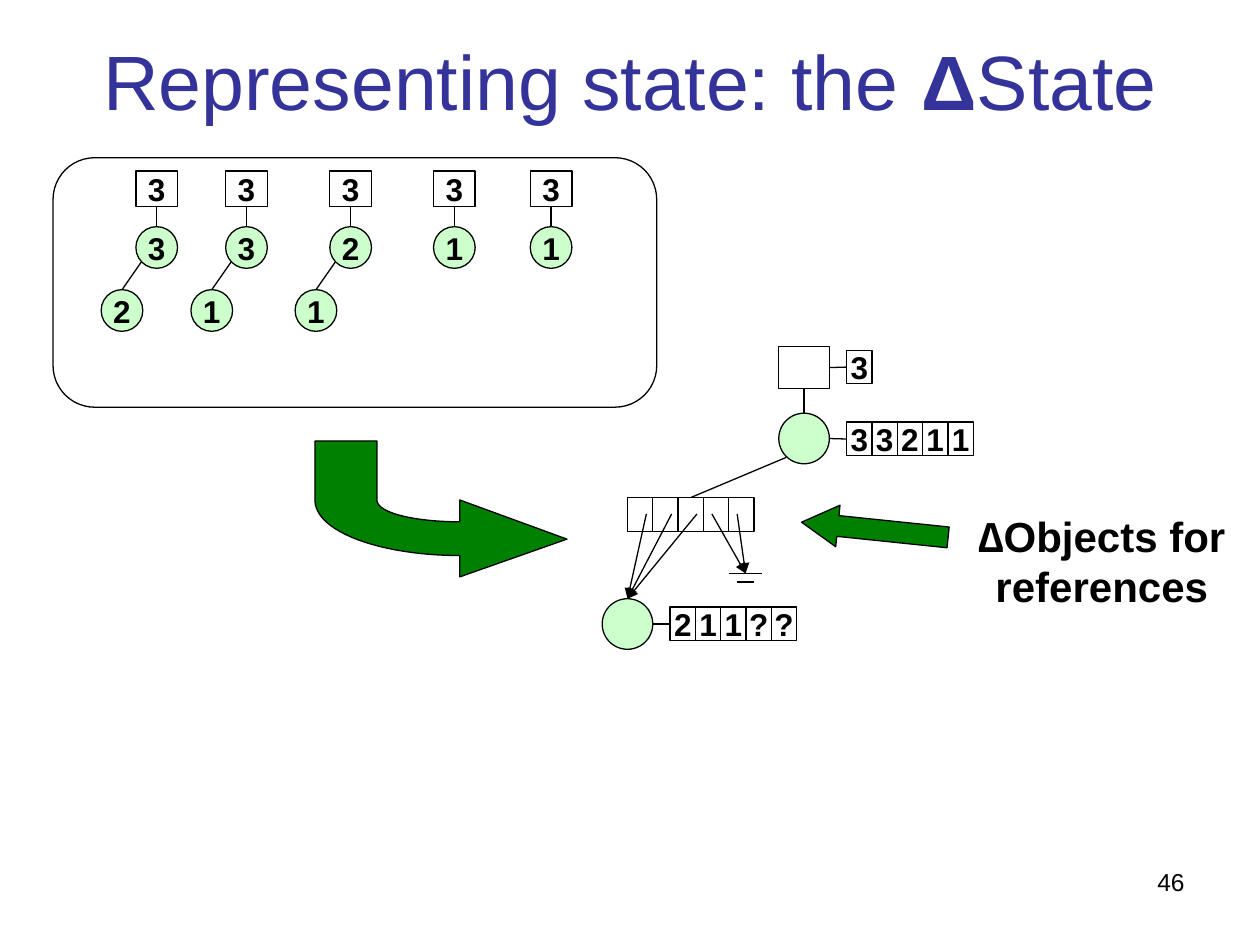
from dataclasses import dataclass

from lxml import etree
from pptx import Presentation
from pptx import util as u
from pptx.dml.color import RGBColor
from pptx.enum import shapes, text
from pptx.oxml import ns


@dataclass(frozen=True)
class Theme:
    """Colours, font and type sizes of the slide."""
    ink: str = "000000"
    title: str = "333399"
    node: str = "CCFFCC"
    arrow: str = "008000"
    font: str = "Arial"
    title_pt: int = 44
    note_pt: int = 24
    label_pt: int = 18
    page_pt: int = 14
    line_pt: float = 0.75


class Diagram:
    """Draws styled elements on the current slide, with lengths in cm."""

    def __init__(self, prs, theme):
        self.theme = theme
        self.s = prs.slides.add_slide(prs.slide_layouts[6])

    def style(self, sp, fill=None):
        """Set the outline and fill of a shape."""
        sp.shadow.inherit = False
        sp.line.color.rgb = RGBColor.from_string(self.theme.ink)
        sp.line.width = u.Pt(self.theme.line_pt)
        if fill:
            sp.fill.solid()
            sp.fill.fore_color.rgb = RGBColor.from_string(fill)
        else:
            sp.fill.background()
        return sp

    def format(self, r, size, color, bold):
        """Set the font of a run."""
        r.font.name, r.font.size, r.font.bold = self.theme.font, u.Pt(size), bold
        r.font.color.rgb = RGBColor.from_string(color)

    def shape(self, kind, x, y, w, h, label="", fill=None):
        """Add a preset shape with an optional bold label."""
        sp = self.s.shapes.add_shape(kind, u.Cm(x), u.Cm(y), u.Cm(w), u.Cm(h))
        self.style(sp, fill)
        if label:
            tf = sp.text_frame
            tf.text, tf.word_wrap = label, False
            tf.vertical_anchor = text.MSO_ANCHOR.MIDDLE
            p = tf.paragraphs[0]
            p.alignment = text.PP_ALIGN.CENTER
            self.format(p.runs[0], self.theme.label_pt, self.theme.ink, True)
        return sp

    def rect(self, x, y, w, h, label=""):
        """Add a rectangle."""
        return self.shape(shapes.MSO_SHAPE.RECTANGLE, x, y, w, h, label)

    def node(self, x, y, d, label=""):
        """Add a round node."""
        return self.shape(shapes.MSO_SHAPE.OVAL, x, y, d, d, label, self.theme.node)

    def cells(self, x, y, labels):
        """Add a row of adjoining cells."""
        return [self.rect(x + 0.51 * i, y, 0.51, 0.68, label)
                for i, label in enumerate(labels)]

    def line(self, start, end, head=False):
        """Join two ends, each a point or a (shape, site) pair."""
        ends = [e if isinstance(e[0], (int, float)) else (0, 0) for e in (start, end)]
        c = self.s.shapes.add_connector(
            shapes.MSO_CONNECTOR.STRAIGHT, *[u.Cm(v) for e in ends for v in e])
        for e, join in ((start, c.begin_connect), (end, c.end_connect)):
            if not isinstance(e[0], (int, float)):
                join(*e)
        c.line.color.rgb = RGBColor.from_string(self.theme.ink)
        c.line.width = u.Pt(self.theme.line_pt)
        if head:
            etree.SubElement(c.line._get_or_add_ln(), ns.qn("a:tailEnd"), type="triangle")
        etree.SubElement(c._element.spPr, ns.qn("a:effectLst"))
        return c

    def outline(self, points, fill):
        """Add a closed freeform through the points."""
        pts = [(u.Cm(x), u.Cm(y)) for x, y in points]
        fb = self.s.shapes.build_freeform(*pts[0])
        fb.add_line_segments(pts[1:], close=True)
        return self.style(fb.convert_to_shape(), fill)

    def text(self, x, y, w, h, runs, size, color, align, margin=True):
        """Add a wrapped text box of (words, bold) runs."""
        tf = self.s.shapes.add_textbox(u.Cm(x), u.Cm(y), u.Cm(w), u.Cm(h)).text_frame
        tf.word_wrap = True
        if not margin:
            tf.margin_left = tf.margin_right = tf.margin_top = tf.margin_bottom = 0
            tf.vertical_anchor = text.MSO_ANCHOR.MIDDLE
        p = tf.paragraphs[0]
        p.alignment = align
        for words, bold in runs:
            r = p.add_run()
            r.text = words
            self.format(r, size, color, bold)
        return p


def bezier(a, b, c, d, steps=24):
    """Return points along a cubic curve."""
    ts = [i / steps for i in range(steps + 1)]
    return [tuple((1 - t) ** 3 * p + 3 * t * (1 - t) ** 2 * q
                  + 3 * t * t * (1 - t) * m + t ** 3 * n
                  for p, q, m, n in zip(a, b, c, d)) for t in ts]


def draw_states(d):
    """Draw the panel of separate states."""
    panel = d.shape(shapes.MSO_SHAPE.ROUNDED_RECTANGLE, 1.07, 3.18, 12.17, 5.03)
    panel.adjustments[0] = 0.167
    states = [(2.74, "3", "2"), (4.55, "3", "1"), (6.65, "2", "1"),
              (8.74, "1", ""), (10.69, "1", "")]
    for x, top, child in states:
        box = d.rect(x, 3.45, 0.84, 0.71, "3")
        node = d.node(x, 4.57, 0.84, top)
        d.line((box, 2), (node, 0))
        if child:
            leaf = d.node(x - 0.7, 5.84, 0.84, child)
            d.line((x + 0.11, 5.28), (leaf, 0))


def draw_delta(d):
    """Draw the combined state with its value and reference cells."""
    box = d.rect(15.7, 6.99, 1.02, 0.84)
    root = d.node(15.7, 8.33, 1.02)
    leaf = d.node(12.14, 12.07, 1.02)
    size = d.cells(17.07, 7.06, "3")
    root_values = d.cells(17.07, 8.51, "33211")
    leaf_values = d.cells(13.51, 12.24, "211??")
    refs = d.cells(12.65, 10.03, [""] * 5)
    d.line((box, 2), (root, 0))
    d.line((box, 3), (size[0], 1))
    d.line((16.72, 8.84), (root_values[0], 1))
    d.line((13.16, 12.58), (leaf_values[0], 1))
    d.line((15.85, 9.22), (refs[2], 0))
    for x in (13.03, 13.54, 14.05):
        d.line((x, 10.36), (leaf, 0), head=True)
    for x in (14.35, 14.86):
        d.line((x, 10.36), (15.03, 11.56), head=True)
    for y, half in ((11.56, 0.34), (11.73, 0.17)):
        d.line((15.03 - half, y), (15.03 + half, y))


def draw_arrows(d):
    """Draw the bent arrow and the arrow of the note."""
    outer = bezier((6.35, 10.08), (6.35, 10.72), (7.67, 11.2), (9.27, 11.2))
    inner = bezier((9.27, 10.52), (8.36, 10.52), (7.6, 10.34), (7.6, 10.08))
    tip = [(9.27, 11.63), (11.43, 10.87), (9.27, 10.08)]
    d.outline([(6.35, 8.89), *outer, *tip, *inner, (7.6, 8.89)], d.theme.arrow)
    sp = d.shape(shapes.MSO_SHAPE.RIGHT_ARROW, 16.15, 10.26, 2.97, 0.84,
                 fill=d.theme.arrow)
    sp.adjustments[1] = 0.876
    sp.rotation = 185.9


def main():
    """Build and save the slide."""
    prs = Presentation()
    prs.slide_width, prs.slide_height = u.Cm(25.4), u.Cm(19.05)
    t = Theme()
    d = Diagram(prs, t)
    center, right = text.PP_ALIGN.CENTER, text.PP_ALIGN.RIGHT
    title = [("Representing state: the ", False), ("Δ", True), ("State", False)]
    p = d.text(1.27, -0.2, 22.86, 3.51, title, t.title_pt, t.title, center, margin=False)
    p.line_spacing = 1.06
    draw_states(d)
    draw_delta(d)
    draw_arrows(d)
    d.text(19.25, 10.16, 5.92, 2.29, [("∆Objects for references", True)],
           t.note_pt, t.ink, center)
    d.text(18.21, 17.35, 5.92, 1.32, [("46", False)], t.page_pt, t.ink, right)
    prs.save("out.pptx")


if __name__ == "__main__":
    main()
